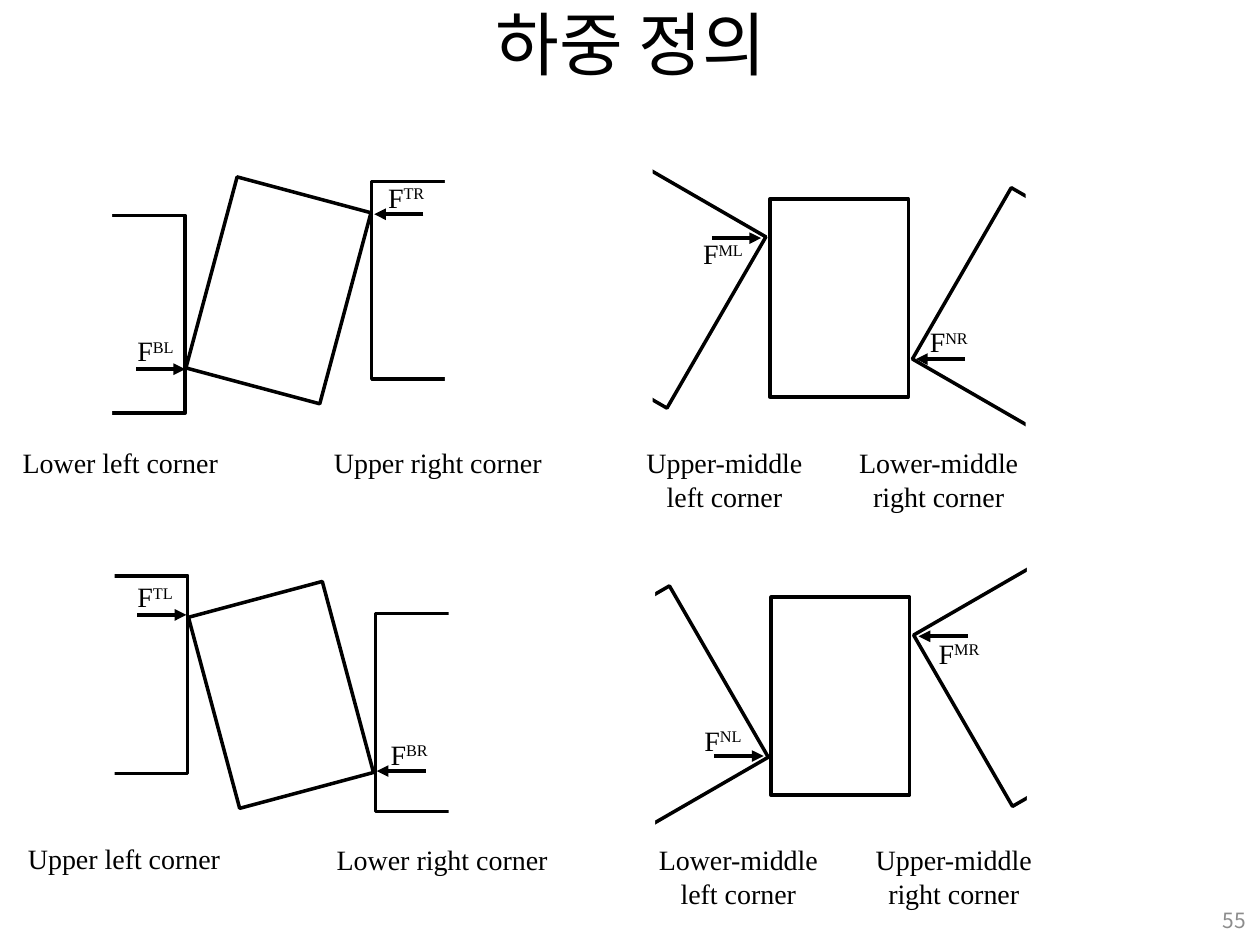
"""Build the slide that defines the contact forces on tilted blocks."""
from lxml import etree
from pptx import Presentation
from pptx.dml.color import RGBColor
from pptx.enum.shapes import MSO_CONNECTOR, MSO_SHAPE
from pptx.enum.text import MSO_ANCHOR, MSO_AUTO_SIZE, PP_ALIGN
from pptx.oxml.ns import qn
from pptx.util import Inches, Pt

RECTANGLE = MSO_SHAPE.RECTANGLE
STRAIGHT = MSO_CONNECTOR.STRAIGHT
LEFT, CENTER, RIGHT = PP_ALIGN.LEFT, PP_ALIGN.CENTER, PP_ALIGN.RIGHT
MIDDLE, TOP = MSO_ANCHOR.MIDDLE, MSO_ANCHOR.TOP
NO_AUTOFIT, FIT_SHAPE = MSO_AUTO_SIZE.NONE, MSO_AUTO_SIZE.SHAPE_TO_FIT_TEXT

SERIF, SANS = "Times New Roman", "Noto Sans CJK KR"
BLACK, WHITE, GRAY = "000000", "FFFFFF", "8C8C8C"
BLOCK_SIZE = (1.1, 1.57)
ARROW_LENGTH = 0.39
LINE_HEIGHT = 0.27

# blocks: left, top, rotation (the last one is the middle block)
# masks: left, top, width, height
# forces: subscript, label left, top, width, arrow tip x, y, direction
# captions: text, left, top, width
CLUSTERS = [
    {
        "blocks": [(4.68, 4.82, 330), (7.57, 4.66, 330), (6.12, 4.74, 0)],
        "masks": [(4.28, 4.61, 0.92, 1.97), (8.15, 4.44, 0.86, 1.91)],
        "forces": [("NL", 5.59, 5.74, 0.32, 6.06, 6, 1),
                   ("MR", 7.45, 5.05, 0.36, 7.29, 5.05, -1)],
        "captions": [("Lower-middle\nleft corner", 5.22, 6.69, 1.28),
                     ("Upper-middle\nright corner", 6.94, 6.69, 1.26)],
    },
    {
        "blocks": [(0.39, 4.57, 0), (2.98, 4.87, 0), (1.68, 4.73, 345)],
        "masks": [(0.3, 4.52, 0.61, 1.68), (3.56, 4.81, 0.61, 1.68)],
        "forces": [("TL", 1.09, 4.6, 0.31, 1.48, 4.88, 1),
                   ("BR", 3.1, 5.85, 0.32, 2.99, 6.12, -1)],
        "captions": [("Upper left corner", 0.21, 6.68, 1.55),
                     ("Lower right corner", 2.66, 6.69, 1.7)],
    },
    {
        "blocks": [(0.37, 1.71, 0), (2.95, 1.44, 0), (1.66, 1.52, 15)],
        "masks": [(0.28, 1.66, 0.61, 1.68), (3.53, 1.38, 0.61, 1.68)],
        "forces": [("BL", 1.09, 2.65, 0.32, 1.47, 2.93, 1),
                   ("TR", 3.08, 1.43, 0.32, 2.97, 1.7, -1)],
        "captions": [("Lower left corner", 0.17, 3.54, 1.57),
                     ("Upper right corner", 2.64, 3.54, 1.67)],
    },
    {
        "blocks": [(4.66, 1.5, 30), (7.56, 1.66, 30), (6.11, 1.58, 0)],
        "masks": [(4.26, 1.26, 0.92, 1.97), (8.14, 1.52, 0.86, 1.91)],
        "forces": [("ML", 5.58, 1.88, 0.35, 6.04, 1.89, 1),
                   ("NR", 7.38, 2.58, 0.33, 7.27, 2.85, -1)],
        "captions": [("Upper-middle\nleft corner", 5.12, 3.54, 1.26),
                     ("Lower-middle\nright corner", 6.81, 3.54, 1.28)],
    },
]


def color(value):
    """Turn a hex string into a colour."""
    return RGBColor.from_string(value)


def format_span(span, size, font_name, ink):
    """Set the size, typeface and colour of a run."""
    span.font.size = Pt(size)
    span.font.color.rgb = color(ink)
    span.font.name = font_name
    properties = span._r.get_or_add_rPr()
    etree.SubElement(properties, qn("a:ea")).set("typeface", font_name)


def format_text(frame, size, font_name, ink, align):
    """Format every paragraph and run of a text frame."""
    for para in frame.paragraphs:
        para.alignment = align
        for span in para.runs:
            format_span(span, size, font_name, ink)


def add_title(slide, text):
    """Place and fill the title placeholder."""
    title = slide.shapes.title
    title.left, title.top = Inches(0.51), Inches(0)
    title.width, title.height = Inches(9), Inches(0.68)
    frame = title.text_frame
    frame.text = text
    frame.auto_size = NO_AUTOFIT
    frame.vertical_anchor = MIDDLE
    format_text(frame, 39.6, SANS, BLACK, CENTER)


def add_page_number(slide, text):
    """Add the page number at the lower right."""
    box = slide.shapes.add_textbox(Inches(7.66), Inches(7.1), Inches(2.33), Inches(0.4))
    frame = box.text_frame
    frame.text = text
    frame.word_wrap = True
    frame.vertical_anchor = MIDDLE
    format_text(frame, 12, SANS, GRAY, RIGHT)


def add_label(slide, text, left, top, width, align=CENTER):
    """Add a tight serif text box and return its frame."""
    height = LINE_HEIGHT * len(text.split("\n"))
    box = slide.shapes.add_textbox(Inches(left), Inches(top), Inches(width), Inches(height))
    frame = box.text_frame
    frame.margin_left = frame.margin_right = frame.margin_top = frame.margin_bottom = 0
    frame.word_wrap = False
    frame.auto_size = FIT_SHAPE
    frame.vertical_anchor = TOP
    frame.text = text
    format_text(frame, 16, SERIF, BLACK, align)
    return frame


def add_rectangle(slide, left, top, width, height):
    """Add a white rectangle without outline or shadow."""
    shape = slide.shapes.add_shape(
        RECTANGLE, Inches(left), Inches(top), Inches(width), Inches(height))
    shape.shadow.inherit = False
    shape.fill.solid()
    shape.fill.fore_color.rgb = color(WHITE)
    shape.line.fill.background()
    return shape


def add_block(slide, left, top, rotation):
    """Add an outlined block, tilted by the given angle."""
    block = add_rectangle(slide, left, top, *BLOCK_SIZE)
    block.rotation = rotation
    block.line.color.rgb = color(BLACK)
    block.line.width = Pt(2)


def add_force(slide, superscript, left, top, width, tip_x, tip_y, direction):
    """Add a force arrow and its label."""
    tail_x = tip_x - direction * ARROW_LENGTH
    arrow = slide.shapes.add_connector(
        STRAIGHT, Inches(tail_x), Inches(tip_y), Inches(tip_x), Inches(tip_y))
    arrow.line.color.rgb = color(BLACK)
    arrow.line.width = Pt(2.25)
    etree.SubElement(arrow.line._get_or_add_ln(), qn("a:tailEnd")).set("type", "triangle")
    etree.SubElement(arrow._element.spPr, qn("a:effectLst"))

    frame = add_label(slide, "F", left, top, width, LEFT)
    span = frame.paragraphs[0].add_run()
    span.text = superscript
    format_span(span, 16, SERIF, BLACK)
    span._r.get_or_add_rPr().set("baseline", "30000")


def add_cluster(slide, blocks, masks, forces, captions):
    """Add three touching blocks with their forces and captions."""
    *side_blocks, middle_block = blocks
    for block in side_blocks:
        add_block(slide, *block)
    for mask in masks:
        add_rectangle(slide, *mask)
    add_block(slide, *middle_block)
    for force in forces:
        add_force(slide, *force)
    for caption in captions:
        add_label(slide, *caption)


def main():
    """Build and save the deck."""
    deck = Presentation()
    deck.slide_width, deck.slide_height = Inches(10), Inches(7.5)
    slide = deck.slides.add_slide(deck.slide_layouts[5])
    add_title(slide, "하중 정의")
    add_page_number(slide, "55")
    for cluster in CLUSTERS:
        add_cluster(slide, **cluster)
    deck.save("out.pptx")


if __name__ == "__main__":
    main()
